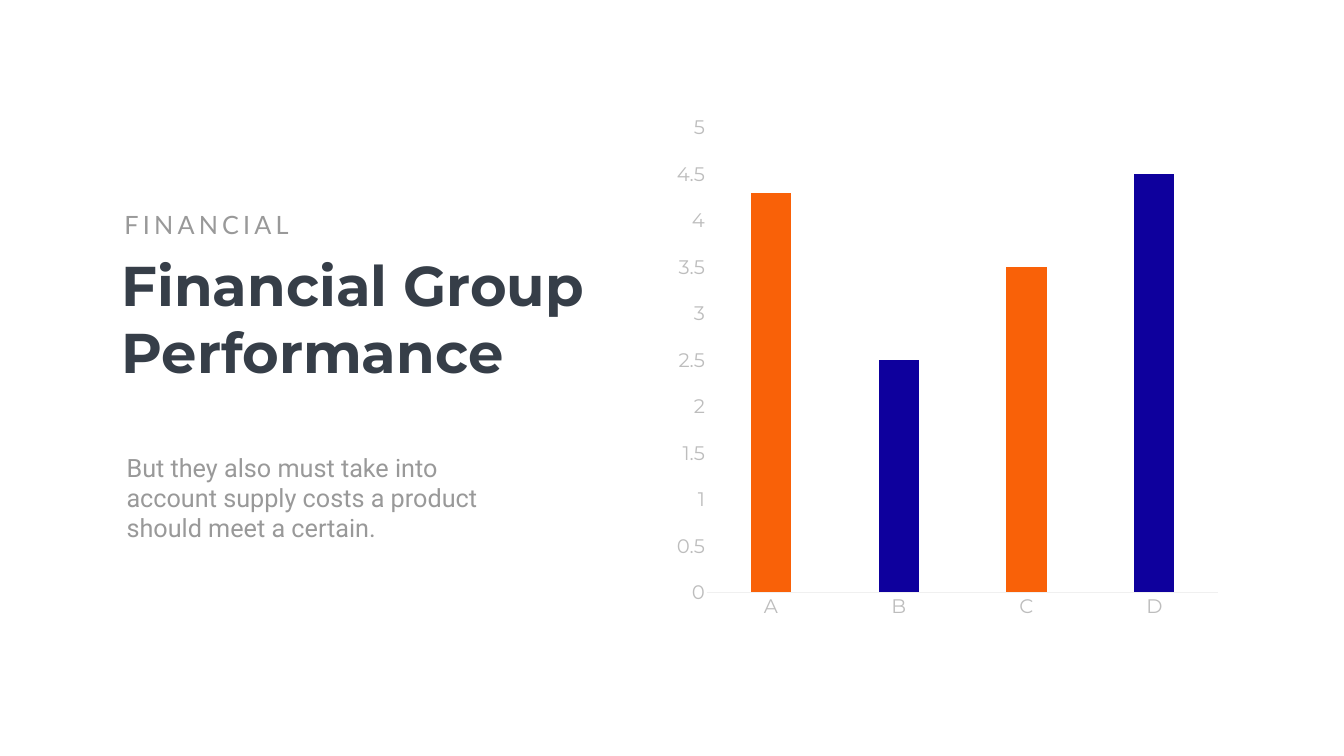
from dataclasses import dataclass

from lxml import etree
from pptx import Presentation
from pptx import util as u
from pptx.chart.data import CategoryChartData
from pptx.dml.color import RGBColor
from pptx.enum import chart as ch
from pptx.enum import text as tx
from pptx.oxml import parse_xml
from pptx.oxml.ns import nsdecls, qn

COLORS = {
    "heading": "363E48",
    "muted": "999999",
    "axis_label": "BDBDBD",
    "axis_line": "F0F0F0",
    "orange": "F96108",
    "blue": "0E009D",
}
PLOT_AREA = {"x": 0.07, "y": 0.04, "w": 0.91, "h": 0.89}


@dataclass
class Passage:
    words: str
    box: tuple[float, float, float, float]
    size: int
    font: str
    color: str
    bold: bool = False
    spacing: int = 0
    insets: tuple[float, float] = (0.1, 0.05)
    leading: int | None = None


@dataclass
class Bar:
    category: str
    value: float
    color: str


EYEBROW = Passage("FINANCIAL", (2.37, 4.1, 3.68, 0.71), 36, "Lato", "muted", spacing=6)
HEADING = Passage("Financial Group Performance", (2.31, 4.92, 9.89, 2.79), 80,
                  "Montserrat", "heading", bold=True)
SUMMARY = Passage(
    "But they also must take into account supply costs a product should meet a certain.",
    (2.27, 8.85, 8.13, 2.05), 36, "Roboto", "muted", insets=(0.24, 0.12), leading=43)
BARS = [Bar("A", 4.3, "orange"), Bar("B", 2.5, "blue"),
        Bar("C", 3.5, "orange"), Bar("D", 4.5, "blue")]


def rgb(name: str) -> RGBColor:
    return RGBColor.from_string(COLORS[name])


def style_font(font, size: int, family: str, color: str, bold: bool = False) -> None:
    font.size = u.Pt(size)
    font.name = family
    font.bold = bold
    font.color.rgb = rgb(color)


def write_passage(holder, passage: Passage) -> None:
    holder.left, holder.top, holder.width, holder.height = map(u.Inches, passage.box)
    frame = holder.text_frame
    frame.word_wrap = True
    frame.auto_size = tx.MSO_AUTO_SIZE.SHAPE_TO_FIT_TEXT
    frame.vertical_anchor = tx.MSO_ANCHOR.TOP
    side, edge = map(u.Inches, passage.insets)
    frame.margin_left = frame.margin_right = side
    frame.margin_top = frame.margin_bottom = edge
    paragraph = frame.paragraphs[0]
    paragraph.alignment = tx.PP_ALIGN.LEFT
    if passage.leading:
        paragraph.line_spacing = u.Pt(passage.leading)
    properties = paragraph._p.get_or_add_pPr()
    properties.set("marL", "0")
    properties.set("indent", "0")
    etree.SubElement(properties, qn("a:buNone"))
    run = paragraph.add_run()
    run.text = passage.words
    style_font(run.font, passage.size, passage.font, passage.color, passage.bold)
    if passage.spacing:
        run._r.get_or_add_rPr().set("spc", str(passage.spacing * 100))


def style_axis(axis) -> None:
    axis.has_major_gridlines = False
    axis.major_tick_mark = axis.minor_tick_mark = ch.XL_TICK_MARK.NONE
    style_font(axis.tick_labels.font, 28, "Montserrat", "axis_label")


def place_plot(chart) -> None:
    modes = "".join(f'<c:{key} val="edge"/>' for key in ("xMode", "yMode"))
    sizes = "".join(f'<c:{key} val="{share}"/>' for key, share in PLOT_AREA.items())
    layout = parse_xml(
        f'<c:layout {nsdecls("c")}><c:manualLayout><c:layoutTarget val="inner"/>'
        f"{modes}{sizes}</c:manualLayout></c:layout>")
    plot_area = chart._chartSpace.chart.plotArea
    for previous in plot_area.findall(qn("c:layout")):
        plot_area.remove(previous)
    plot_area.insert(0, layout)


def draw_performance(slide, bars: list[Bar]) -> None:
    performance = CategoryChartData()
    performance.categories = [bar.category for bar in bars]
    performance.add_series("Series 1", [bar.value for bar in bars])
    chart = slide.shapes.add_chart(
        ch.XL_CHART_TYPE.COLUMN_CLUSTERED, u.Inches(13.24), u.Inches(2.12),
        u.Inches(11.15), u.Inches(10.36), performance).chart
    chart.has_title = False
    chart.has_legend = False
    style_font(chart.font, 28, "Montserrat", "muted")

    style_axis(chart.category_axis)
    baseline = chart.category_axis.format.line
    baseline.color.rgb = rgb("axis_line")
    baseline.width = u.Pt(0.75)

    scale = chart.value_axis
    style_axis(scale)
    scale.minimum_scale, scale.maximum_scale, scale.major_unit = 0, 5, 0.5
    scale.tick_labels.number_format = "General"
    scale.tick_labels.number_format_is_linked = False
    scale.format.line.fill.background()

    plot = chart.plots[0]
    plot.gap_width = 219
    plot.overlap = -27
    plot.vary_by_categories = False
    columns = plot.series[0]
    columns.format.fill.solid()
    columns.format.fill.fore_color.rgb = rgb("orange")
    for index, bar in enumerate(bars):
        if bar.color != "orange":
            fill = columns.points[index].format.fill
            fill.solid()
            fill.fore_color.rgb = rgb(bar.color)
    place_plot(chart)


def main() -> None:
    deck = Presentation()
    deck.slide_width = u.Inches(26.66)
    deck.slide_height = u.Inches(15)
    slide = deck.slides.add_slide(deck.slide_layouts[1])
    draw_performance(slide, BARS)
    write_passage(slide.shapes.title, HEADING)
    write_passage(slide.shapes.add_textbox(*map(u.Inches, EYEBROW.box)), EYEBROW)
    write_passage(slide.placeholders[1], SUMMARY)
    deck.save("out.pptx")


if __name__ == "__main__":
    main()
